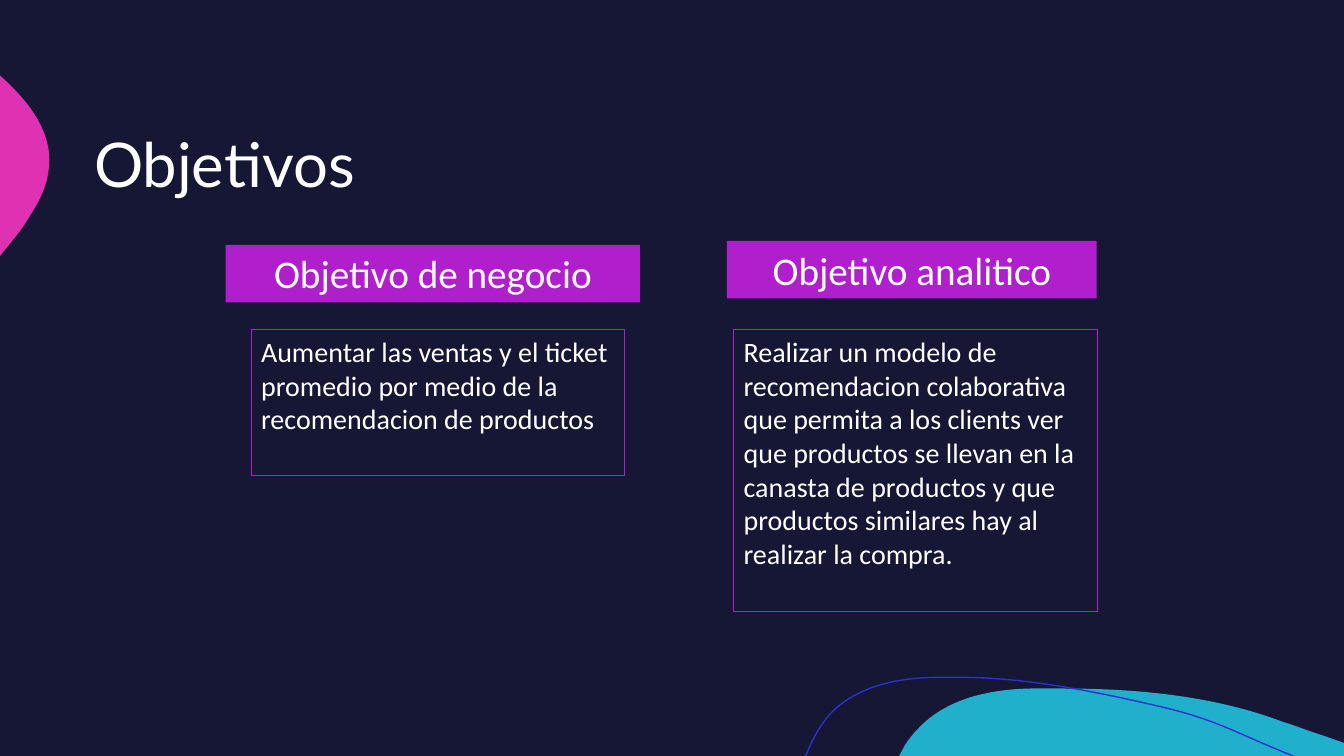
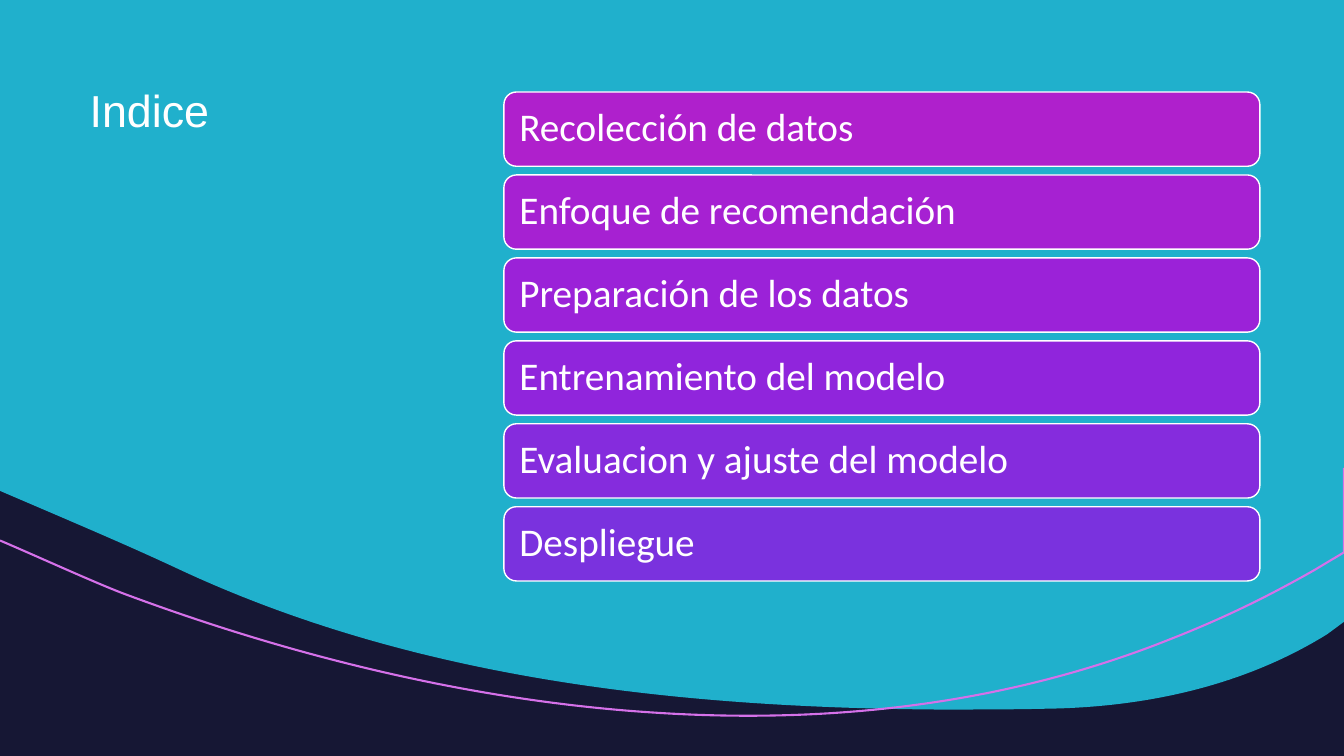
from pptx import Presentation
from pptx import util as u
from pptx.dml.color import RGBColor
from pptx.enum import shapes, text
from pptx.oxml import ns
from lxml import etree

COLORS = {
    "night": "161734", "cyan": "20B0CC", "pink": "DE32B3", "blue": "2E2FD0",
    "orchid": "D571E9", "purple": "AF20CC", "white": "FFFFFF",
}

# Lengths are centimetres. Each box is left, top, width, height.
PAGE_WIDTH, PAGE_HEIGHT = 33.87, 19.05

GOALS_TITLE = ("Objetivos", (2.12, 2.11, 29.64, 4.24))
GOALS = [
    {"heading": "Objetivo de negocio",
     "heading_box": (5.69, 6.17, 10.44, 1.45),
     "detail": "Aumentar las ventas y el ticket promedio por medio de la "
               "recomendacion de productos",
     "detail_box": (6.33, 8.31, 9.42, 3.68)},
    {"heading": "Objetivo analitico",
     "heading_box": (18.32, 6.07, 9.32, 1.45),
     "detail": "Realizar un modelo de recomendacion colaborativa que permita "
               "a los clients ver que productos se llevan en la canasta de "
               "productos y que productos similares hay al realizar la compra.",
     "detail_box": (18.49, 8.31, 9.16, 7.09)},
]

INDEX_TITLE = ("Indice", (2.01, 2.11, 10, 6.35))
INDEX = [
    ("Recolección de datos", "AF20CC"),
    ("Enfoque de recomendación", "A621D2"),
    ("Preparación de los datos", "9B22D8"),
    ("Entrenamiento del modelo", "9025DC"),
    ("Evaluacion y ajuste del modelo", "852CDD"),
    ("Despliegue", "7A32DE"),
]
INDEX_LEFT, INDEX_TOP, INDEX_WIDTH = 12.7, 2.32, 19.05
ROW_HEIGHT, ROW_GAP = 1.87, 0.22

# An outline is a start point, then steps: one point is a straight segment,
# three points are a Bézier segment (two controls and the end).
CYAN_HILL = [
    [(26.77, 17.35)],
    [(28.65, 17.35), (30.58, 17.53), (32.33, 18.19)],
    [(32.66, 18.29), (32.97, 18.42), (33.3, 18.52)],
    [(33.87, 18.72)], [(33.87, 19.05)], [(22.66, 19.05)], [(22.81, 18.77)],
    [(22.91, 18.62), (23.01, 18.49), (23.14, 18.36)],
    [(23.85, 17.6), (24.94, 17.37), (25.98, 17.35)],
    [(26.24, 17.35), (26.5, 17.35), (26.77, 17.35)],
]
PINK_BUMP = [
    [(0, 1.9)], [(0.03, 1.93)],
    [(0.76, 2.59), (1.37, 3.38), (1.22, 4.32)],
    [(1.17, 4.75), (0.94, 5.16), (0.69, 5.54)],
    [(0.61, 5.69), (0.43, 5.92), (0.2, 6.2)],
    [(0, 6.45)],
]
BLUE_CURVE = [
    [(20.29, 19.05)], [(20.32, 19.02)],
    [(20.47, 18.62), (20.68, 18.26), (20.93, 17.98)],
    [(21.59, 17.3), (22.58, 17.09), (23.52, 17.07)],
    [(24.26, 17.07)],
    [(25.96, 17.07), (27.94, 17.5), (29.34, 17.83)],
    [(30.71, 18.16), (31.14, 18.47), (32.59, 19.05)],
]
CYAN_WAVE = [
    [(0, 0)], [(33.87, 0)], [(33.87, 15.67)], [(33.45, 15.98)],
    [(31.29, 17.32), (28.78, 17.83), (26.34, 17.86)],
    [(25.45, 17.88), (24.54, 17.88), (23.62, 17.88)],
    [(17.2, 17.83), (10.52, 17.15), (4.52, 14.35)],
    [(3.43, 13.84), (2.31, 13.36), (1.19, 12.88)],
    [(0, 12.37)],
]
ORCHID_CURVE = [
    [(33.87, 11.79)], [(33.87, 13.92)], [(33.1, 14.38)],
    [(32.11, 14.94), (30.99, 15.52), (29.51, 16.1)],
    [(25.44, 17.73), (21.01, 18.25), (16.53, 17.96)],
    [(12.05, 17.68), (7.51, 16.59), (3.2, 14.99)],
    [(2.49, 14.73), (0.94, 14.02), (0, 13.62)],
]


def rgb(color):
    return RGBColor.from_string(COLORS.get(color, color))


def paint(shape, fill=None, line=None, width=1):
    shape.shadow.inherit = False
    if fill:
        shape.fill.solid()
        shape.fill.fore_color.rgb = rgb(fill)
    else:
        shape.fill.background()
    if line:
        shape.line.color.rgb = rgb(line)
        shape.line.width = u.Pt(width)
    else:
        shape.line.fill.background()


def add_outline(page, outline, closed=True, **style):
    """Draw straight segments, then bend those that have control points."""
    ends = [(u.Cm(step[-1][0]), u.Cm(step[-1][1])) for step in outline]
    builder = page.shapes.build_freeform(*ends[0])
    builder.add_line_segments(ends[1:], close=closed)
    shape = builder.convert_to_shape()
    segments = shape.element.xpath(".//a:lnTo")
    for segment, step in zip(segments, outline[1:]):
        if len(step) == 3:
            segment.tag = ns.qn("a:cubicBezTo")
            for place, (x, y) in enumerate(step[:2]):
                control = etree.Element(ns.qn("a:pt"))
                control.set("x", str(u.Cm(x) - shape.left))
                control.set("y", str(u.Cm(y) - shape.top))
                segment.insert(place, control)
    paint(shape, **style)
    return shape


def write(box, words, size, font="Calibri", align=text.PP_ALIGN.LEFT,
          anchor=text.MSO_ANCHOR.TOP, spacing=1.0):
    frame = box.text_frame
    frame.word_wrap = True
    frame.vertical_anchor = anchor
    para = frame.paragraphs[0]
    para.alignment = align
    para.line_spacing = spacing
    span = para.add_run()
    span.text = words
    span.font.size = u.Pt(size)
    span.font.name = font
    span.font.color.rgb = rgb("white")


def add_title(page, title, **style):
    words, place = title
    box = page.shapes.add_textbox(*map(u.Cm, place))
    write(box, words, spacing=0.9, **style)


def add_box(page, place, kind=shapes.MSO_SHAPE.RECTANGLE, **style):
    box = page.shapes.add_shape(kind, *map(u.Cm, place))
    paint(box, **style)
    return box


def decorate(layout, page):
    """Draw the shared curves on a page and move them to its layout."""
    for holder in list(layout.placeholders):
        layout.shapes.element.remove(holder.element)
    curves = [
        add_outline(page, CYAN_HILL, fill="cyan"),
        add_outline(page, PINK_BUMP, fill="pink"),
        add_outline(page, BLUE_CURVE, closed=False, line="blue"),
    ]
    for curve in curves:
        layout.shapes.element.append(curve.element)


def build_goals(page):
    add_title(page, GOALS_TITLE, size=44, font="Lato",
              anchor=text.MSO_ANCHOR.MIDDLE)
    for goal in GOALS:
        heading = add_box(page, goal["heading_box"], fill="purple")
        write(heading, goal["heading"], 28, align=text.PP_ALIGN.CENTER)
        detail = add_box(page, goal["detail_box"], line="purple", width=0.75)
        write(detail, goal["detail"], 20)


def build_index(page):
    add_box(page, (0, 0, PAGE_WIDTH, PAGE_HEIGHT), fill="night")
    add_outline(page, CYAN_WAVE, fill="cyan")
    add_outline(page, ORCHID_CURVE, closed=False, line="orchid", width=1.5)
    add_title(page, INDEX_TITLE, size=32, font="Arial")
    for number, (words, color) in enumerate(INDEX):
        top = INDEX_TOP + number * (ROW_HEIGHT + ROW_GAP)
        row = add_box(page, (INDEX_LEFT, top, INDEX_WIDTH, ROW_HEIGHT),
                      shapes.MSO_SHAPE.ROUNDED_RECTANGLE,
                      fill=color, line="white")
        write(row, words, 28, anchor=text.MSO_ANCHOR.MIDDLE, spacing=0.9)
        row.text_frame.margin_left = u.Cm(0.3)


def main():
    deck = Presentation()
    deck.slide_width, deck.slide_height = u.Cm(PAGE_WIDTH), u.Cm(PAGE_HEIGHT)
    backdrop = deck.slide_master.background.fill
    backdrop.solid()
    backdrop.fore_color.rgb = rgb("night")
    blank = deck.slide_layouts[6]
    goals, index = (deck.slides.add_slide(blank) for _ in range(2))
    decorate(blank, goals)
    build_goals(goals)
    build_index(index)
    deck.save("out.pptx")


if __name__ == "__main__":
    main()
